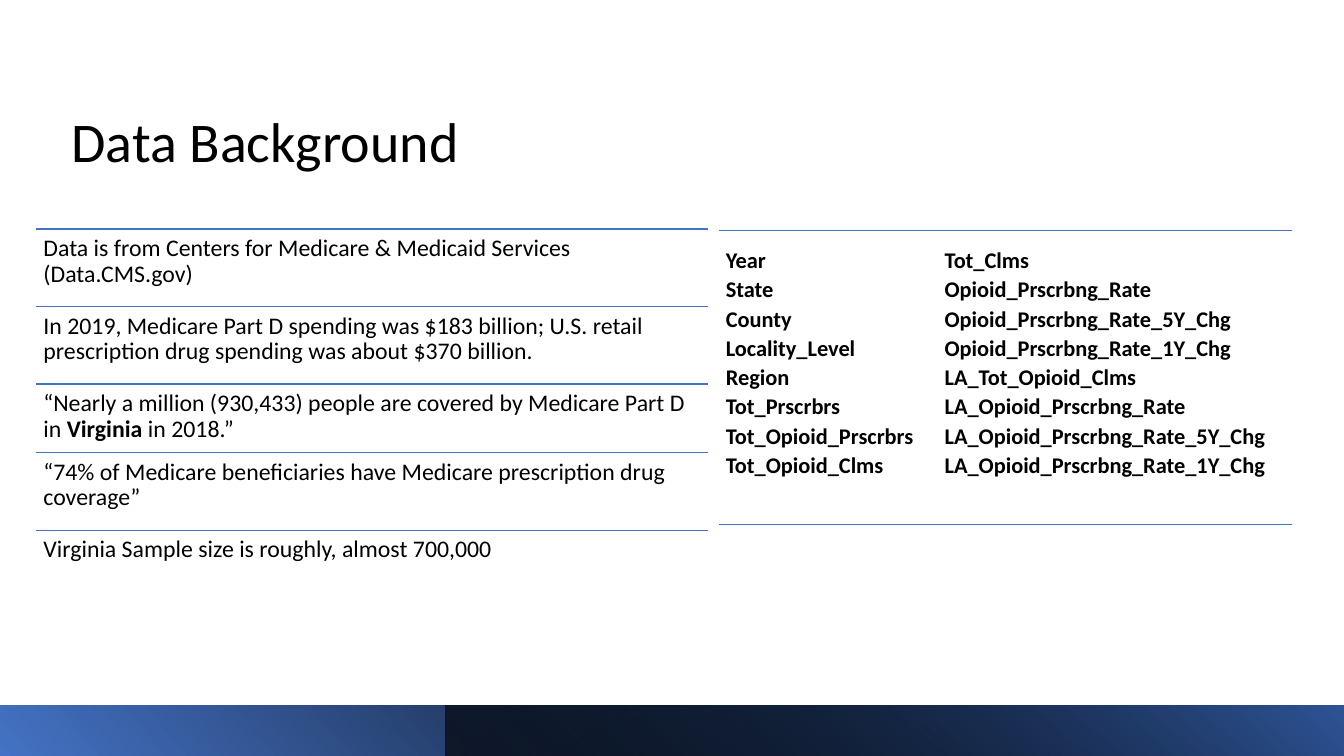
import lxml.etree
import pptx
import pptx.dml.color
import pptx.enum.shapes
import pptx.enum.text
import pptx.oxml.ns
import pptx.util

WIDTH, HEIGHT = pptx.util.Inches(13.333), pptx.util.Inches(7.5)
COLORS = {"text": "000000", "rule": "4472C4", "dark": "000000", "deep": "2F5597"}

# Each statement is a height in rows and its spans of text, with a bold flag
STATEMENTS = [
    (10.27, [("Data is from Centers for Medicare & Medicaid Services (Data.CMS.gov)", False)]),
    (10.27, [("In 2019, Medicare Part D spending was $183 billion; U.S. retail "
              "prescription drug spending was about $370 billion.", False)]),
    (9.07, [("“Nearly a million (930,433) people are covered by Medicare Part D in ", False),
            ("Virginia", True), (" in 2018.”", False)]),
    (10.27, [("“74% of Medicare beneficiaries have Medicare prescription drug coverage”", False)]),
    (10.27, [("Virginia Sample size is roughly, almost 700,000", False)]),
]
FIELDS = [
    ["Year", "State", "County", "Locality_Level", "Region", "Tot_Prscrbrs",
     "Tot_Opioid_Prscrbrs", "Tot_Opioid_Clms"],
    ["Tot_Clms", "Opioid_Prscrbng_Rate", "Opioid_Prscrbng_Rate_5Y_Chg",
     "Opioid_Prscrbng_Rate_1Y_Chg", "LA_Tot_Opioid_Clms", "LA_Opioid_Prscrbng_Rate",
     "LA_Opioid_Prscrbng_Rate_5Y_Chg", "LA_Opioid_Prscrbng_Rate_1Y_Chg"],
]


# The grid has 100 columns and 100 rows
def col(count):
    return round(WIDTH * count / 100)


def row(count):
    return round(HEIGHT * count / 100)


def area(left, top, width, height):
    return col(left), row(top), col(width), row(height)


def rgb(name):
    return pptx.dml.color.RGBColor.from_string(COLORS[name])


def add_xml(parent, tag, **attributes):
    return lxml.etree.SubElement(parent, pptx.oxml.ns.qn(tag), attributes)


def write(para, text, size, bold=False, spacing=0.9):
    para.line_spacing = spacing
    span = para.add_run()
    span.text = text
    span.font.name = "Calibri"
    span.font.size = pptx.util.Pt(size)
    span.font.bold = bold
    span.font.color.rgb = rgb("text")


def set_margins(target, left, top, right, bottom):
    target.margin_left, target.margin_right = col(left), col(right)
    target.margin_top, target.margin_bottom = row(top), row(bottom)


def add_text(page, place, spans, size, anchor, margins):
    frame = page.shapes.add_textbox(*place).text_frame
    frame.word_wrap = True
    frame.vertical_anchor = anchor
    set_margins(frame, *margins)
    for text, bold in spans:
        write(frame.paragraphs[0], text, size, bold)


def add_rule(page, left, top, width):
    rule = page.shapes.add_connector(
        pptx.enum.shapes.MSO_CONNECTOR.STRAIGHT,
        col(left), row(top), col(left + width), row(top))
    rule.line.color.rgb = rgb("rule")
    rule.line.width = pptx.util.Pt(1)
    add_xml(rule._element.spPr, "a:effectLst")


def add_band(page, place, angle, stops):
    band = page.shapes.add_shape(pptx.enum.shapes.MSO_SHAPE.RECTANGLE, *place)
    band.shadow.inherit = False
    band.line.fill.background()
    band.fill.gradient()
    band.fill.gradient_angle = angle
    for stop, (position, color, opacity) in zip(band.fill.gradient_stops, stops):
        stop.position = position
        stop.color.rgb = rgb(color)
        if opacity < 1:
            tint = band._element.spPr.findall(".//" + pptx.oxml.ns.qn("a:srgbClr"))[-1]
            for candidate in band._element.spPr.iter(pptx.oxml.ns.qn("a:srgbClr")):
                if candidate.get("val") == COLORS[color]:
                    tint = candidate
            add_xml(tint, "a:alpha", val=str(round(opacity * 100000)))


def set_borders(cell):
    properties = cell._tc.get_or_add_tcPr()
    for index, side in enumerate(("a:lnL", "a:lnR", "a:lnT", "a:lnB")):
        border = add_xml(properties, side, w=str(pptx.util.Pt(1)))
        properties.insert(index, border)
        if side in ("a:lnT", "a:lnB"):
            add_xml(add_xml(border, "a:solidFill"), "a:srgbClr", val=COLORS["rule"])
        else:
            add_xml(border, "a:noFill")


def add_fields(page, place, widths):
    table = page.shapes.add_table(1, len(FIELDS), *place).table
    table.first_row = table.horz_banding = False
    for index, names in enumerate(FIELDS):
        table.columns[index].width = col(widths[index])
        cell = table.cell(0, index)
        cell.fill.background()
        set_borders(cell)
        cell.vertical_anchor = pptx.enum.text.MSO_ANCHOR.BOTTOM
        set_margins(cell, 0.53, 0.27, 0.6, 5.9)
        for number, name in enumerate(names):
            frame = cell.text_frame
            para = frame.add_paragraph() if number else frame.paragraphs[0]
            write(para, name, 16, bold=True, spacing=1.07)


def main():
    deck = pptx.Presentation()
    deck.slide_width, deck.slide_height = WIDTH, HEIGHT
    page = deck.slides.add_slide(deck.slide_layouts[6])
    anchors = pptx.enum.text.MSO_ANCHOR

    # Title
    add_text(page, area(4.58, 10.67, 40.66, 13.07), [("Data Background", False)],
             40, anchors.BOTTOM, (0.75, 0.67, 0.75, 0.67))

    # Statements, each under a rule
    left, top, width = 2.7, 30.27, 50
    for height, spans in STATEMENTS:
        add_rule(page, left, top, width)
        add_text(page, area(left, top, width, height), spans,
                 17, anchors.TOP, (0.53, 0.93, 0.53, 0.93))
        top += height

    # Bands along the bottom
    add_band(page, area(0, 93.33, 100, 6.67), 40, [(0, "rule", 1), (0.78, "dark", 1)])
    add_band(page, area(33.12, 93.33, 66.88, 6.67), 50, [(0, "dark", 0.63), (1, "deep", 1)])

    # Field names
    add_fields(page, area(53.48, 30.53, 42.68, 38.8), (16.28, 26.4))

    deck.save("out.pptx")


if __name__ == "__main__":
    main()
